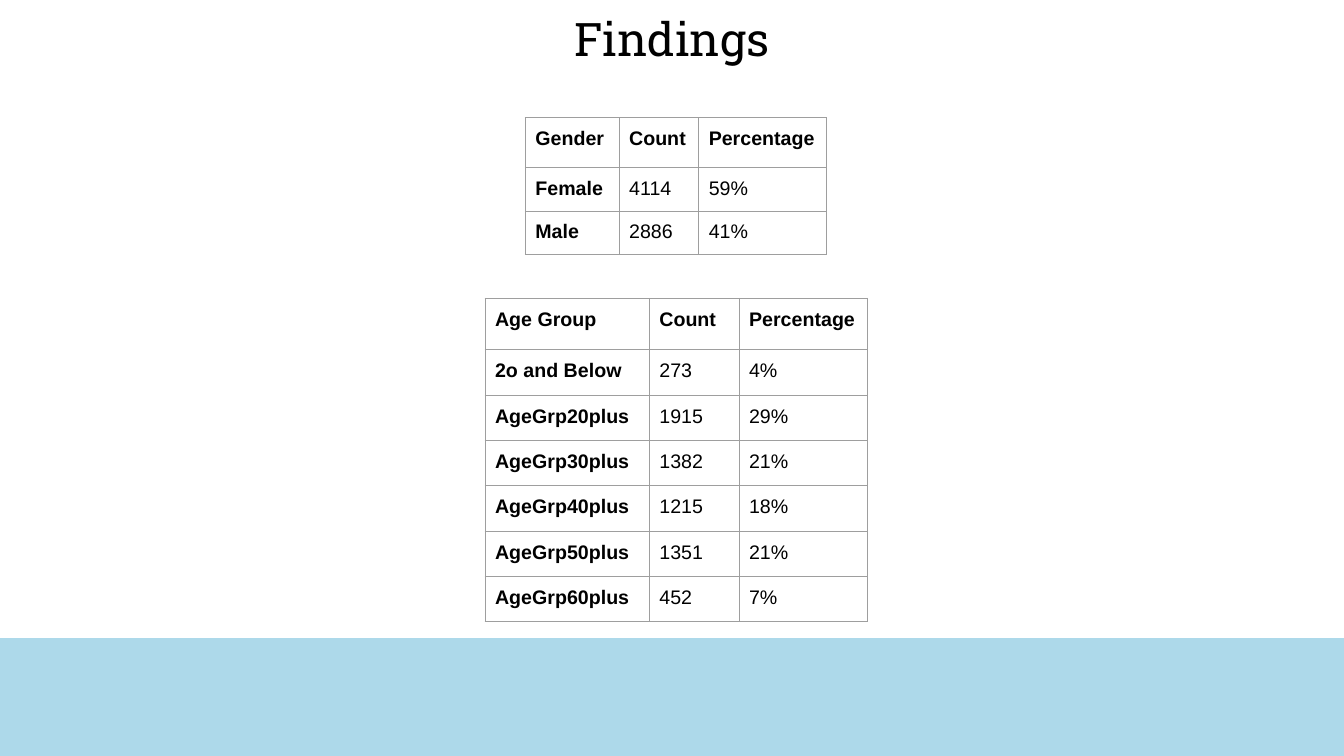
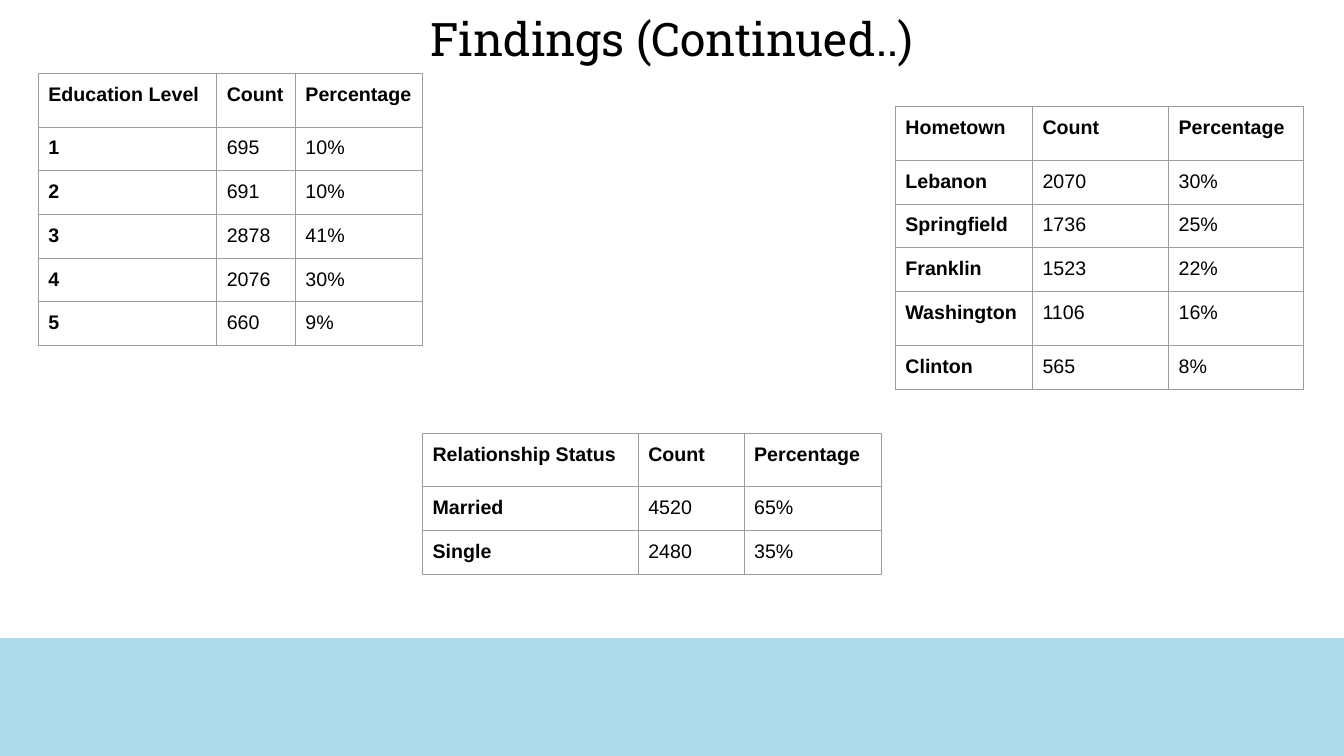
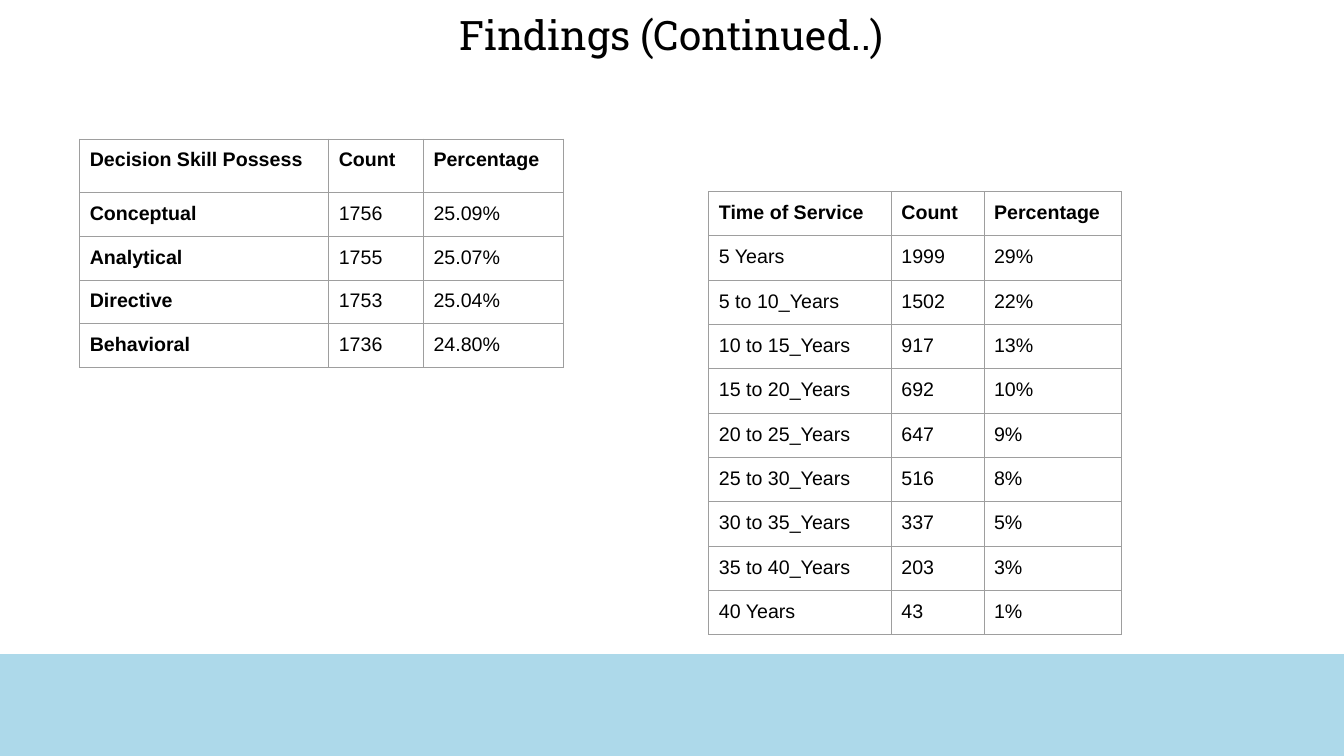
import pptx
import pptx.util
import pptx.oxml
import pptx.oxml.ns
import pptx.dml.color
import pptx.enum.text
import pptx.enum.shapes

Inches = pptx.util.Inches
Pt = pptx.util.Pt
RGB = pptx.dml.color.RGBColor.from_string

COLORS = {"band": "ADD9EA", "text": "000000", "rule": "9E9E9E"}
WIDTH, HEIGHT = 13.33, 7.5
PAD = Inches(0.1)

SLIDES = [
    {
        "title": "Findings", "size": 33, "tall": 0.56, "band": 6.33,
        "tables": [
            {
                "at": (5.21, 1.17), "cols": [0.93, 0.79, 1.27],
                "heights": [0.49] + [0.43] * 2, "lead": True,
                "rows": [
                    ("Gender", "Count", "Percentage"),
                    ("Female", "4114", "59%"),
                    ("Male", "2886", "41%"),
                ],
            },
            {
                "at": (4.81, 2.96), "cols": [1.63, 0.89, 1.27],
                "heights": [0.51] + [0.45] * 6, "lead": True,
                "rows": [
                    ("Age Group", "Count", "Percentage"),
                    ("2o and Below", "273", "4%"),
                    ("AgeGrp20plus", "1915", "29%"),
                    ("AgeGrp30plus", "1382", "21%"),
                    ("AgeGrp40plus", "1215", "18%"),
                    ("AgeGrp50plus", "1351", "21%"),
                    ("AgeGrp60plus", "452", "7%"),
                ],
            },
        ],
    },
    {
        "title": "Findings (Continued..)", "size": 33, "tall": 0.56, "band": 6.33,
        "tables": [
            {
                "at": (0.38, 0.73), "cols": [1.77, 0.78, 1.26],
                "heights": [0.53, 0.39] + [0.42] * 4, "lead": True,
                "rows": [
                    ("Education Level", "Count", "Percentage"),
                    ("1", "695", "10%"),
                    ("2", "691", "10%"),
                    ("3", "2878", "41%"),
                    ("4", "2076", "30%"),
                    ("5", "660", "9%"),
                ],
            },
            {
                "at": (4.19, 4.3), "cols": [2.14, 1.05, 1.36],
                "heights": [0.53, 0.39, 0.42], "lead": True,
                "rows": [
                    ("Relationship Status", "Count", "Percentage"),
                    ("Married", "4520", "65%"),
                    ("Single", "2480", "35%"),
                ],
            },
            {
                "at": (8.88, 1.06), "cols": [1.36, 1.35, 1.34],
                "heights": [0.53] + [0.43] * 3 + [0.54, 0.43], "lead": True,
                "rows": [
                    ("Hometown", "Count", "Percentage"),
                    ("Lebanon", "2070", "30%"),
                    ("Springfield", "1736", "25%"),
                    ("Franklin", "1523", "22%"),
                    ("Washington", "1106", "16%"),
                    ("Clinton", "565", "8%"),
                ],
            },
        ],
    },
    {
        "title": "Findings (Continued..)", "size": 29, "tall": 0.49, "band": 6.49,
        "tables": [
            {
                "at": (0.79, 1.38), "cols": [2.47, 0.94, 1.39],
                "heights": [0.53, 0.39] + [0.42] * 3, "lead": True,
                "rows": [
                    ("Decision Skill Possess", "Count", "Percentage"),
                    ("Conceptual", "1756", "25.09%"),
                    ("Analytical", "1755", "25.07%"),
                    ("Directive", "1753", "25.04%"),
                    ("Behavioral", "1736", "24.80%"),
                ],
            },
            {
                "at": (7.03, 1.9), "cols": [1.81, 0.92, 1.36],
                "heights": [0.44] * 10, "lead": False,
                "rows": [
                    ("Time of Service", "Count", "Percentage"),
                    ("5 Years", "1999", "29%"),
                    ("5 to 10_Years", "1502", "22%"),
                    ("10 to 15_Years", "917", "13%"),
                    ("15 to 20_Years", "692", "10%"),
                    ("20 to 25_Years", "647", "9%"),
                    ("25 to 30_Years", "516", "8%"),
                    ("30 to 35_Years", "337", "5%"),
                    ("35 to 40_Years", "203", "3%"),
                    ("40 Years", "43", "1%"),
                ],
            },
        ],
    },
]


def style(par, name, size, bold):
    par.font.name = name
    par.font.size = Pt(size)
    par.font.bold = bold
    par.font.color.rgb = RGB(COLORS["text"])


def add_grid(slide, data):
    rows, cols = data["rows"], data["cols"]
    left, top = data["at"]
    grid = slide.shapes.add_table(
        len(rows), len(cols), Inches(left), Inches(top),
        Inches(sum(cols)), Inches(sum(data["heights"]))).table
    grid.first_row = grid.horz_banding = False
    for col, wide in zip(grid.columns, cols):
        col.width = Inches(wide)
    for row, tall in zip(grid.rows, data["heights"]):
        row.height = Inches(tall)
    for r, row in enumerate(rows):
        for c, text in enumerate(row):
            cell = grid.cell(r, c)
            cell.margin_left = cell.margin_right = PAD
            cell.margin_top = cell.margin_bottom = PAD
            cell.text = text
            bold = r == 0 or (c == 0 and data["lead"])
            style(cell.text_frame.paragraphs[0], "Arial", 14, bold)
            props = cell._tc.get_or_add_tcPr()
            for side in "LRTB":
                props.append(pptx.oxml.parse_xml(
                    f'<a:ln{side} {pptx.oxml.ns.nsdecls("a")} w="{Pt(0.75)}">'
                    f'<a:solidFill><a:srgbClr val="{COLORS["rule"]}"/></a:solidFill>'
                    f'</a:ln{side}>'))
            cell.fill.background()


deck = pptx.Presentation()
deck.slide_width = Inches(WIDTH)
deck.slide_height = Inches(HEIGHT)

for page in SLIDES:
    slide = deck.slides.add_slide(deck.slide_layouts[5])

    band = slide.shapes.add_shape(
        pptx.enum.shapes.MSO_SHAPE.RECTANGLE, 0, Inches(page["band"]),
        Inches(WIDTH), Inches(HEIGHT - page["band"]))
    band.shadow.inherit = False
    band.fill.solid()
    band.fill.fore_color.rgb = RGB(COLORS["band"])
    band.line.fill.background()

    title = slide.shapes.title
    title.left, title.top = Inches(0.21), Inches(0.06)
    title.width, title.height = Inches(12.91), Inches(page["tall"])
    frame = title.text_frame
    frame.text = page["title"]
    frame.word_wrap = True
    frame.auto_size = pptx.enum.text.MSO_AUTO_SIZE.SHAPE_TO_FIT_TEXT
    frame.vertical_anchor = pptx.enum.text.MSO_ANCHOR.MIDDLE
    frame.margin_left = frame.margin_right = 0
    frame.margin_top = frame.margin_bottom = 0
    par = frame.paragraphs[0]
    par.alignment = pptx.enum.text.PP_ALIGN.CENTER
    par.line_spacing = 1.14
    style(par, "Roboto Slab", page["size"], False)

    for data in page["tables"]:
        add_grid(slide, data)

deck.save("out.pptx")
